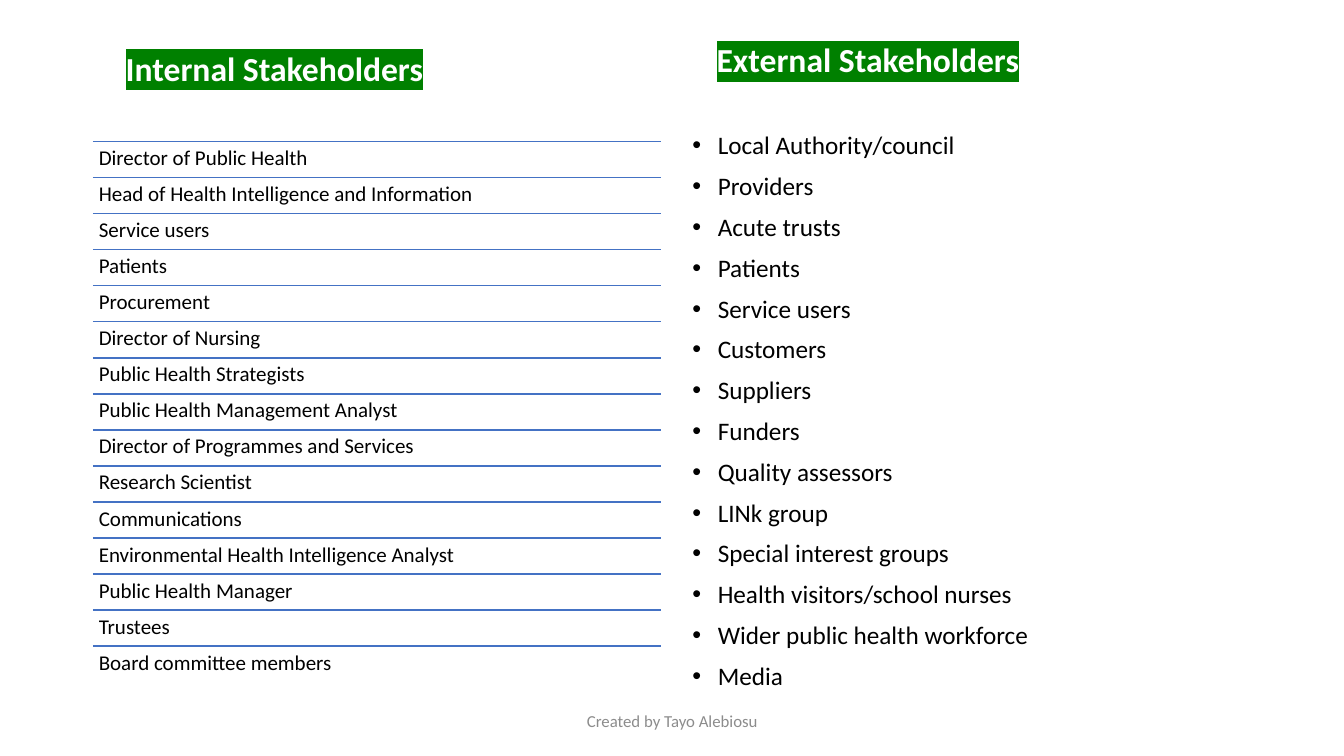
from dataclasses import dataclass

from lxml.etree import SubElement
from pptx import Presentation
from pptx.dml.color import RGBColor as Rgb
from pptx.enum.shapes import MSO_CONNECTOR as Link
from pptx.enum.text import MSO_ANCHOR as Anchor, PP_ALIGN as Align
from pptx.oxml.ns import qn
from pptx.util import Cm, Pt


@dataclass(frozen=True)
class Theme:
    font: str = "Calibri"
    ink: str = "000000"
    white: str = "FFFFFF"
    green: str = "008000"
    blue: str = "4472C4"
    gray: str = "8C8C8C"
    head: int = 24
    item: int = 18
    row: int = 15
    foot: int = 12


THEME = Theme()

INNER = [
    "Director of Public Health",
    "Head of Health Intelligence and Information",
    "Service users",
    "Patients",
    "Procurement",
    "Director of Nursing",
    "Public Health Strategists",
    "Public Health Management Analyst",
    "Director of Programmes and Services",
    "Research Scientist",
    "Communications",
    "Environmental Health Intelligence Analyst",
    "Public Health Manager",
    "Trustees",
    "Board committee members",
]
OUTER = [
    "Local Authority/council",
    "Providers",
    "Acute trusts",
    "Patients",
    "Service users",
    "Customers",
    "Suppliers",
    "Funders",
    "Quality assessors",
    "LINk group",
    "Special interest groups",
    "Health visitors/school nurses",
    "Wider public health workforce",
    "Media",
]


def add_text(slide, text, area, size, color=THEME.ink, anchor=Anchor.TOP):
    """Add a wrapped text box, one paragraph per line of text."""
    frame = slide.shapes.add_textbox(*area).text_frame
    frame.word_wrap = True
    frame.vertical_anchor = anchor
    frame.text = text
    for para in frame.paragraphs:
        para.line_spacing = 0.9
        for run in para.runs:
            run.font.size = Pt(size)
            run.font.color.rgb = Rgb.from_string(color)
            run.font.name = THEME.font
    return frame


def add_head(slide, text, area):
    frame = add_text(slide, text, area, THEME.head, THEME.white, Anchor.BOTTOM)
    run = frame.paragraphs[0].runs[0]
    run.font.bold = True
    props = run.font._element if hasattr(run.font, "_element") else run._r.rPr
    mark = SubElement(props, qn("a:highlight"))
    SubElement(mark, qn("a:srgbClr"), val=THEME.green)
    props.find(qn("a:latin")).addprevious(mark)


def add_rule(slide, left, top, width):
    rule = slide.shapes.add_connector(Link.STRAIGHT, left, top, left + width, top)
    rule.line.color.rgb = Rgb.from_string(THEME.blue)
    rule.line.width = Pt(1)
    SubElement(rule._element.spPr, qn("a:effectLst"))


def add_rows(slide, names, left, top, width, step):
    """Stack names, each below a rule of the full width."""
    for i, name in enumerate(names):
        y = top + i * step
        add_rule(slide, left, y, width)
        frame = add_text(slide, name, (left, y, width, step), THEME.row)
        frame.margin_left = frame.margin_right = Cm(0.15)
        frame.margin_top = frame.margin_bottom = Cm(0.15)


def add_list(slide, names, area):
    frame = add_text(slide, "\n".join(names), area, THEME.item)
    indent = Cm(0.64)
    for i, para in enumerate(frame.paragraphs):
        if i:
            para.space_before = Pt(9.7)
        props = para._p.get_or_add_pPr()
        props.set("marL", str(indent))
        props.set("indent", str(-indent))
        SubElement(props, qn("a:buFont"), typeface="Arial")
        SubElement(props, qn("a:buChar"), char="•")


def add_foot(slide, text, area):
    frame = add_text(slide, text, area, THEME.foot, THEME.gray, Anchor.MIDDLE)
    para = frame.paragraphs[0]
    para.alignment = Align.CENTER
    para.line_spacing = 1.0


def main():
    deck = Presentation()
    deck.slide_width, deck.slide_height = Cm(33.87), Cm(19.05)
    slide = deck.slides.add_slide(deck.slide_layouts[6])
    add_head(slide, "Internal Stakeholders",
             (Cm(2.92), Cm(0.2), Cm(12.42), Cm(2.15)))
    add_rows(slide, INNER, Cm(2.34), Cm(3.57), Cm(14.33), Cm(12.71) // 14)
    add_head(slide, "External Stakeholders",
             (Cm(17.81), Cm(0.71), Cm(14.4), Cm(1.43)))
    add_list(slide, OUTER, (Cm(17.2), Cm(3.23), Cm(15.47), Cm(13.61)))
    add_foot(slide, "Created by Tayo Alebiosu",
             (Cm(11.23), Cm(17.65), Cm(11.43), Cm(1.02)))
    deck.save("out.pptx")


if __name__ == "__main__":
    main()
